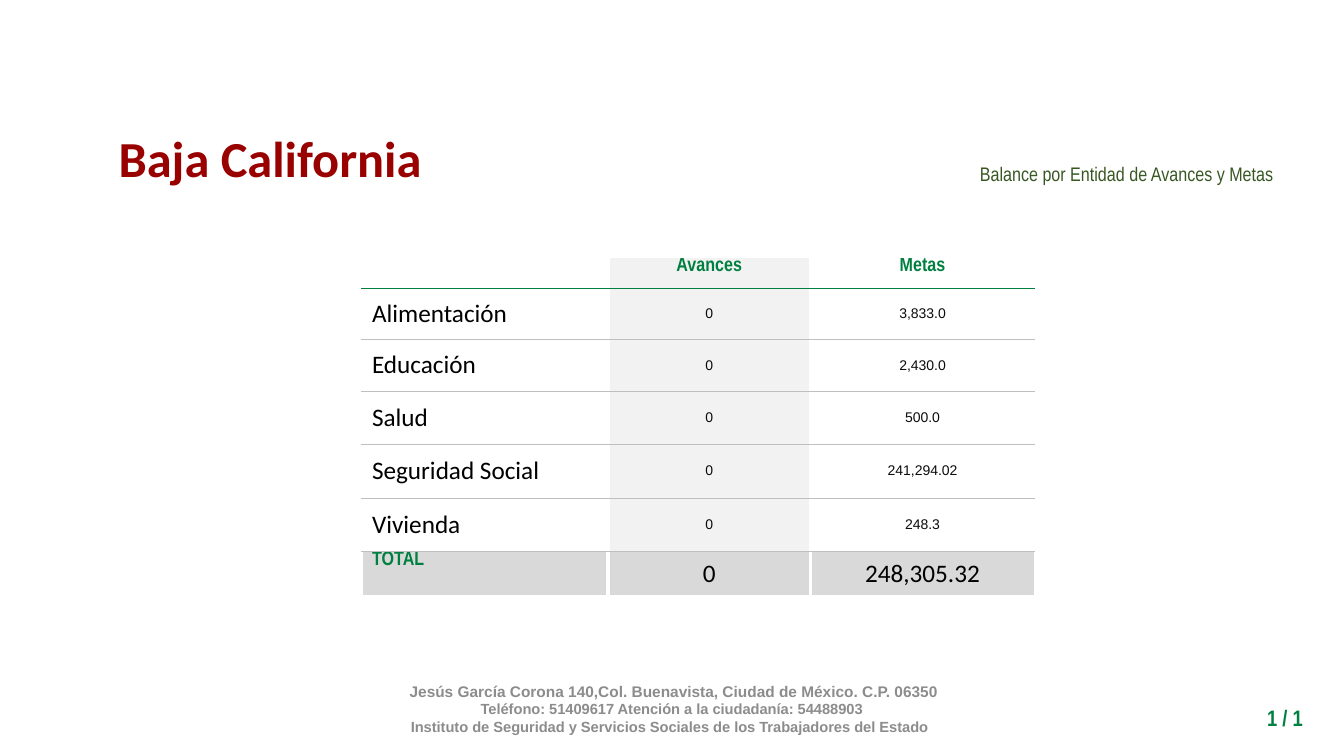
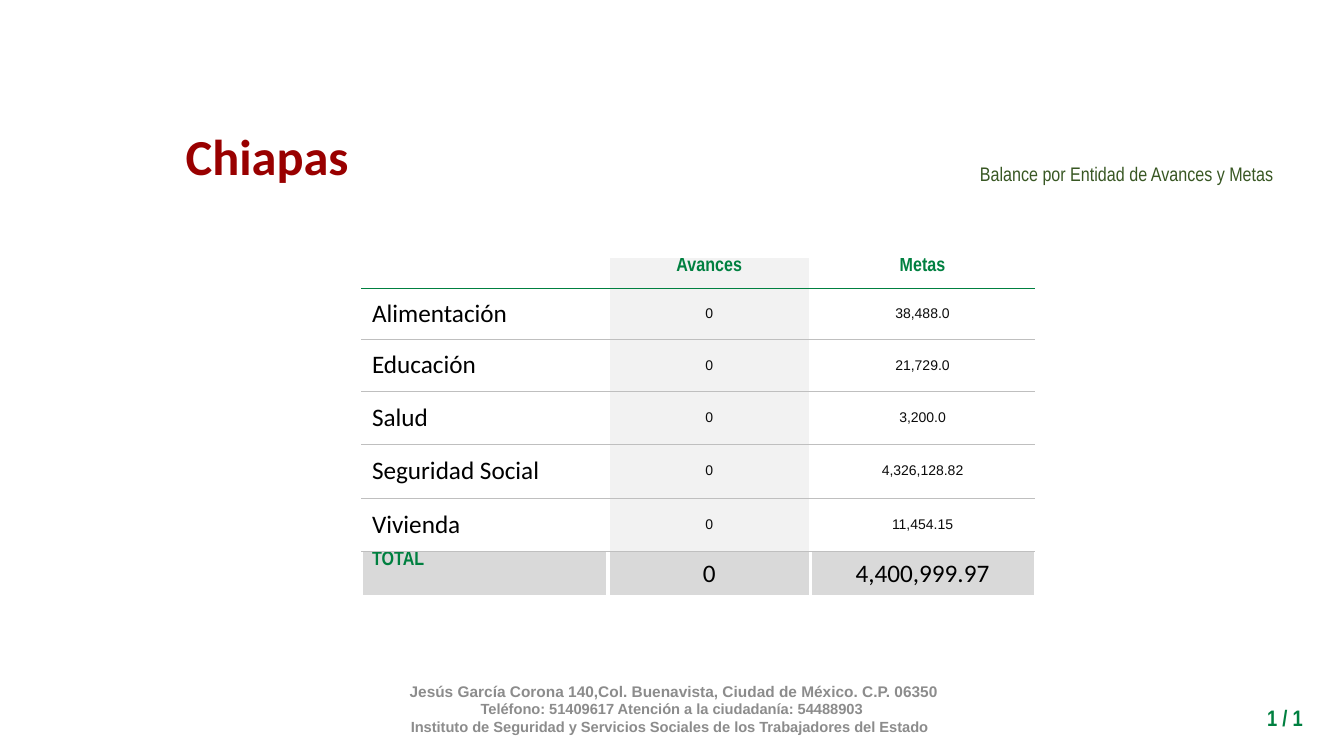
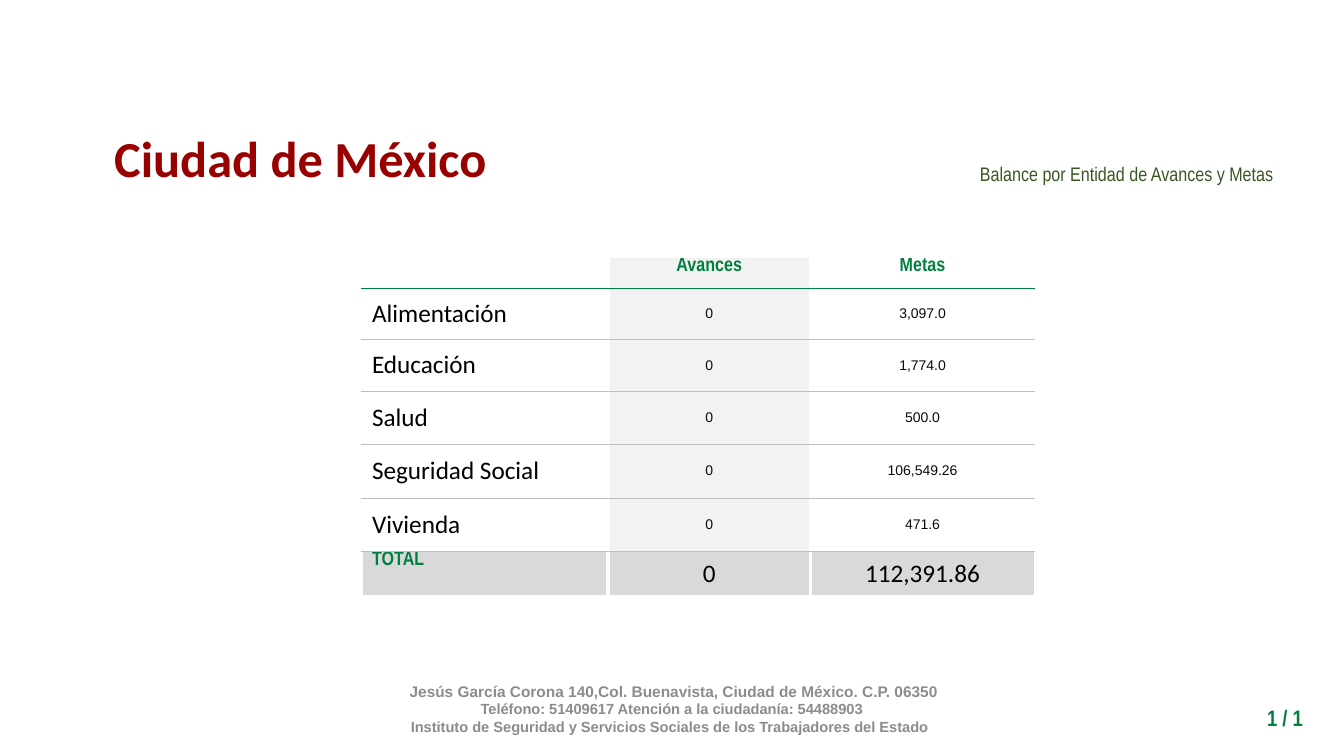
from dataclasses import dataclass

from lxml import etree
from pptx import Presentation
from pptx.dml.color import RGBColor
from pptx.enum.text import MSO_ANCHOR, MSO_AUTO_SIZE, PP_ALIGN
from pptx.oxml.ns import qn
from pptx.util import Emu, Pt

LEFT, CENTER, RIGHT = PP_ALIGN.LEFT, PP_ALIGN.CENTER, PP_ALIGN.RIGHT
TOP, MIDDLE = MSO_ANCHOR.TOP, MSO_ANCHOR.MIDDLE
GROW = MSO_AUTO_SIZE.SHAPE_TO_FIT_TEXT

EMU_PER_PX = 9144
RED = RGBColor(0x99, 0x00, 0x00)
GREEN = RGBColor(0x00, 0x80, 0x40)
OLIVE = RGBColor(0x38, 0x57, 0x23)
BLACK = RGBColor(0x00, 0x00, 0x00)
INK = RGBColor(0x0B, 0x0B, 0x0B)
GRAY = RGBColor(0x8C, 0x8C, 0x8C)
RULE = RGBColor(0xBF, 0xBF, 0xBF)
TOTAL_FILL = RGBColor(0xD9, 0xD9, 0xD9)
COLUMN_FILL = RGBColor(0xF2, 0xF2, 0xF2)
WHITE = RGBColor(0xFF, 0xFF, 0xFF)


@dataclass(frozen=True)
class Box:
    left: int
    top: int
    width: int
    height: int

    def emu(self) -> tuple[Emu, ...]:
        return px(self.left), px(self.top), px(self.width), px(self.height)


@dataclass(frozen=True)
class Style:
    font: str
    size: float
    color: RGBColor
    bold: bool = False


@dataclass(frozen=True)
class Border:
    side: str
    color: RGBColor
    width: float


@dataclass(frozen=True)
class Entity:
    name: str
    title_box: Box
    goals: tuple[float, ...]


TITLE = Style("Calibri", 36, RED, True)
SUBTITLE = Style("Arial Narrow", 14, OLIVE)
PAGE = Style("Arial Narrow", 16, GREEN, True)
HEADING = Style("Arial Narrow", 14, GREEN, True)
LABEL = Style("Calibri", 18, BLACK)
VALUE = Style("Arial", 10, INK)

SUBTITLE_BOX = Box(669, 123, 604, 95)
PAGE_BOX = Box(1176, 694, 126, 37)
FOOTER_BOX = Box(288, 692, 757, 40)
FOOTER = (
    (" Jesús García Corona 140,Col. Buenavista, Ciudad de México. C.P. 06350", 11),
    ("Teléfono: 51409617 Atención a la ciudadanía: 54488903", 10.5),
    ("Instituto de Seguridad y Servicios Sociales de los Trabajadores del Estado ", 10.5),
)

COLUMNS = (244, 201, 222)
ROWS = (31, 51, 51, 53, 53, 53, 45)
TABLE_BOX = Box(359, 255, sum(COLUMNS), sum(ROWS))
TOPICS = ("Alimentación", "Educación", "Salud", "Seguridad Social", "Vivienda")

ENTITIES = (
    Entity("Baja California", Box(106, 121, 324, 71),
           (3833.0, 2430.0, 500.0, 241294.02, 248.3)),
    Entity("Chiapas", Box(173, 119, 184, 71),
           (38488.0, 21729.0, 3200.0, 4326128.82, 11454.15)),
    Entity("Ciudad de México", Box(101, 121, 394, 71),
           (3097.0, 1774.0, 500.0, 106549.26, 471.6)),
)


def px(n: int) -> Emu:
    return Emu(n * EMU_PER_PX)


def format_paragraph(p, style: Style, align) -> None:
    p.alignment = align
    p.font.name = style.font
    p.font.size = Pt(style.size)
    p.font.bold = style.bold
    p.font.color.rgb = style.color


def add_text(s, box: Box, text: str, style: Style, align, anchor=TOP):
    tf = s.shapes.add_textbox(*box.emu()).text_frame
    tf.word_wrap = True
    tf.vertical_anchor = anchor
    p = tf.paragraphs[0]
    p.text = text
    format_paragraph(p, style, align)
    return tf


def add_title(s, entity: Entity) -> None:
    title = s.shapes.title
    title.left, title.top, title.width, title.height = entity.title_box.emu()
    tf = title.text_frame
    tf.text = entity.name
    tf.word_wrap = False
    tf.auto_size = GROW
    tf.vertical_anchor = TOP
    format_paragraph(tf.paragraphs[0], TITLE, CENTER)


def add_footer(s, layout) -> None:
    box = s.shapes.add_textbox(*FOOTER_BOX.emu())
    tf = box.text_frame
    tf.word_wrap = True
    tf.vertical_anchor = MIDDLE
    tf.margin_bottom = px(23)
    for i, (text, size) in enumerate(FOOTER):
        p = tf.add_paragraph() if i else tf.paragraphs[0]
        p.text = text
        format_paragraph(p, Style("Arial", size, GRAY, True), CENTER)
    layout.shapes._spTree.append(box._element)


def set_border(cell, border: Border) -> None:
    tc_pr = cell._tc.get_or_add_tcPr()
    ln = etree.SubElement(tc_pr, qn(f"a:ln{border.side}"), w=str(Pt(border.width)))
    fill = etree.SubElement(ln, qn("a:solidFill"))
    etree.SubElement(fill, qn("a:srgbClr"), val=str(border.color))


def cell_borders(row: int, col: int) -> list[Border]:
    last_row, last_col = len(ROWS) - 1, len(COLUMNS) - 1
    header_rule = (GREEN, 0.25)
    row_rule = (RULE, 0.5)
    gap = (WHITE, 3)
    borders = []
    if col > 0:
        borders.append(Border("L", *gap))
    if col < last_col:
        borders.append(Border("R", *gap))
    if row > 0:
        borders.append(Border("T", *(header_rule if row == 1 else row_rule)))
    bottom = {0: header_rule, last_row: gap}.get(row, row_rule)
    borders.append(Border("B", *bottom))
    return borders


def cell_style(row: int, col: int) -> Style:
    is_total = row == len(ROWS) - 1
    if row == 0 or (is_total and col == 0):
        return HEADING
    return LABEL if is_total or col == 0 else VALUE


def format_cell(cell, row: int, col: int, text: str) -> None:
    style = cell_style(row, col)
    cell.margin_top = cell.margin_bottom = 0
    cell.vertical_anchor = TOP if style is HEADING else MIDDLE
    p = cell.text_frame.paragraphs[0]
    if text:
        p.text = text
    format_paragraph(p, style, CENTER if col else LEFT)
    for border in cell_borders(row, col):
        set_border(cell, border)
    if row == len(ROWS) - 1:
        fill_color = TOTAL_FILL
    else:
        fill_color = COLUMN_FILL if col == 1 else None
    if fill_color is None:
        cell.fill.background()
    else:
        cell.fill.solid()
        cell.fill.fore_color.rgb = fill_color


def add_balance(s, entity: Entity) -> None:
    total = round(sum(entity.goals), 2)
    rows = [("", "Avances", "Metas")]
    rows += [(topic, "0", f"{goal:,}") for topic, goal in zip(TOPICS, entity.goals)]
    rows.append(("TOTAL", "0", f"{total:,}"))
    table = s.shapes.add_table(len(ROWS), len(COLUMNS), *TABLE_BOX.emu()).table
    table.first_row = table.horz_banding = False
    for column, width in zip(table.columns, COLUMNS):
        column.width = px(width)
    for r, (height, texts) in enumerate(zip(ROWS, rows)):
        table.rows[r].height = px(height)
        for c, text in enumerate(texts):
            format_cell(table.cell(r, c), r, c, text)


def add_entity_slide(prs, layout, entity: Entity):
    s = prs.slides.add_slide(layout)
    add_title(s, entity)
    add_balance(s, entity)
    tf = add_text(s, SUBTITLE_BOX, "Balance por Entidad de Avances y Metas",
                  SUBTITLE, RIGHT, MIDDLE)
    tf.paragraphs[0].line_spacing = 1.15
    add_text(s, PAGE_BOX, "1 / 1", PAGE, RIGHT).auto_size = GROW
    return s


def main() -> None:
    prs = Presentation()
    prs.slide_width, prs.slide_height = px(1333), px(750)
    layout = prs.slide_layouts[5]
    slides = [add_entity_slide(prs, layout, entity) for entity in ENTITIES]
    add_footer(slides[0], layout)
    prs.save("out.pptx")


if __name__ == "__main__":
    main()
